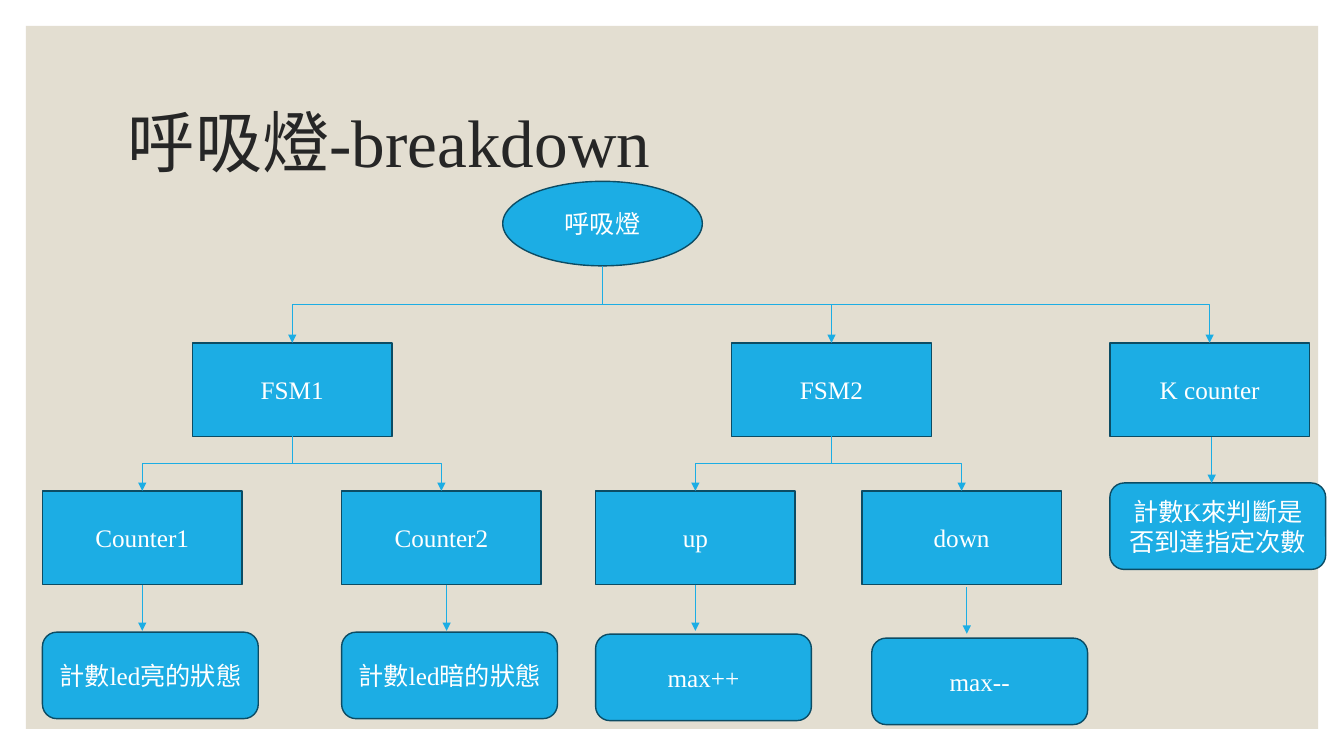
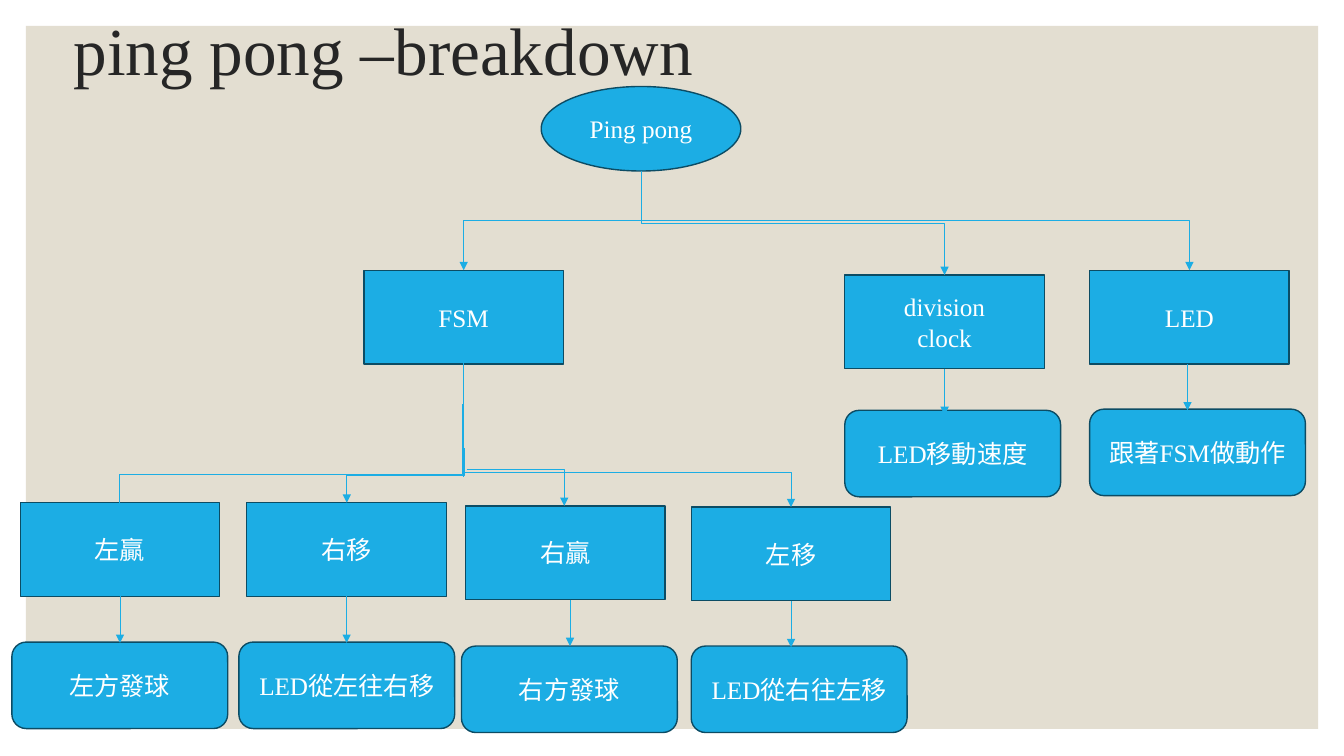
from dataclasses import dataclass
from typing import Optional

import pptx
import pptx.dml.color
import pptx.enum.shapes
import pptx.enum.text
import pptx.oxml
import pptx.oxml.ns
import pptx.util

Cm, Pt = pptx.util.Cm, pptx.util.Pt
SHAPE = pptx.enum.shapes.MSO_SHAPE
CONNECTOR = pptx.enum.shapes.MSO_CONNECTOR
ALIGN = pptx.enum.text.PP_ALIGN
qn = pptx.oxml.ns.qn


@dataclass(frozen=True)
class Theme:
    font: str = "Times New Roman"
    band: str = "E3DED1"
    title: str = "262626"
    fill: str = "1CADE4"
    outline: str = "0C4C64"
    label: str = "FFFFFF"
    title_size: float = 48
    label_size: float = 18
    outline_width: float = 1
    line_width: float = 0.5


@dataclass(frozen=True)
class Node:
    """A box in the tree; bend is where the line from its parent turns."""
    text: str
    left: float
    top: float
    parent: Optional[str] = None
    bend: float = 0.5
    kind: str = "box"


@dataclass(frozen=True)
class Note:
    """A rounded box below a node; dx and drop shift the arrow to it."""
    owner: str
    text: str
    left: float
    top: float
    dx: float = 0
    drop: float = 0


THEME = Theme()

# All lengths are centimetres.
SLIDE_SIZE = (33.87, 19.05)
BAND = (0.65, 0.65, 32.57, 17.72)
TITLE_SIZE = (27.94, 3.81)
ARROW = 1.17
KINDS = {  # preset, width, height
    "root": (SHAPE.OVAL, 5.03, 2.13),
    "box": (SHAPE.RECTANGLE, 5.03, 2.36),
    "note": (SHAPE.ROUNDED_RECTANGLE, 5.44, 2.18),
}

SLIDES = [
    {
        "title": ("呼吸燈-breakdown", 2.97, 1.78),
        "nodes": [
            Node("呼吸燈", 12.67, 4.57, kind="root"),
            Node("FSM1", 4.85, 8.64, "呼吸燈"),
            Node("FSM2", 18.44, 8.64, "呼吸燈"),
            Node("K counter", 27.97, 8.64, "呼吸燈"),
            Node("Counter1", 1.07, 12.37, "FSM1"),
            Node("Counter2", 8.61, 12.37, "FSM1"),
            Node("up", 15.01, 12.37, "FSM2"),
            Node("down", 21.72, 12.37, "FSM2"),
        ],
        "notes": [
            Note("Counter1", "計數led亮的狀態", 1.07, 15.93),
            Note("Counter2", "計數led暗的狀態", 8.61, 15.93, dx=0.13),
            Note("up", "max++", 15.01, 15.98),
            Note("down", "max--", 21.97, 16.08, dx=0.13, drop=0.07),
            Note("K counter", "計數K來判斷是否到達指定次數", 27.97, 12.17, dx=0.05),
        ],
        "trunks": [],
        "branches": [],
    },
    {
        "title": ("ping pong –breakdown", 1.6, -0.56),
        "nodes": [
            Node("Ping pong", 13.64, 2.18, kind="root"),
            Node("FSM", 9.17, 6.81, "Ping pong"),
            Node("division\nclock", 21.29, 6.93, "Ping pong"),
            Node("LED", 27.46, 6.81, "Ping pong"),
            Node("左贏", 0.51, 12.67),
            Node("右移", 6.22, 12.67),
            Node("右贏", 11.73, 12.75),
            Node("左移", 17.42, 12.78, "FSM", bend=0.76),
        ],
        "notes": [
            Note("左贏", "左方發球", 0.3, 16.18),
            Note("右移", "LED從左往右移", 6.02, 16.18),
            Note("右贏", "右方發球", 11.63, 16.28, dx=0.12),
            Note("左移", "LED從右往左移", 17.42, 16.28),
            Note("division\nclock", "LED移動速度", 21.29, 10.34),
            Note("LED", "跟著FSM做動作", 27.46, 10.31, dx=-0.05),
        ],
        "trunks": [(11.68, 9.14, 11.68, 12.01)],
        # Branches that leave the trunk part-way: x1, y1, x2, y2, bend
        "branches": [
            (11.71, 11.3, 8.74, 12.67, 0.5),
            (11.76, 11.84, 14.22, 12.75, 0),
            (11.66, 10.19, 3, 13.72, 0.5),
        ],
    },
]


def rgb(value):
    return pptx.dml.color.RGBColor.from_string(value)


def write(tf, text, *, size, color, align, spacing=None):
    tf.text = text
    tf.word_wrap = True
    tf.auto_size = pptx.enum.text.MSO_AUTO_SIZE.NONE
    tf.vertical_anchor = pptx.enum.text.MSO_ANCHOR.MIDDLE
    for p in tf.paragraphs:
        p.alignment = align
        p.line_spacing = spacing
        for r in p.runs:
            r.font.name = THEME.font
            r.font.size = Pt(size)
            r.font.color.rgb = rgb(color)


def add_block(slide, preset, box, fill, outline=None):
    sp = slide.shapes.add_shape(preset, *map(Cm, box))
    sp.shadow.inherit = False
    sp.fill.solid()
    sp.fill.fore_color.rgb = rgb(fill)
    if outline:
        sp.line.color.rgb = rgb(outline)
        sp.line.width = Pt(THEME.outline_width)
    else:
        sp.line.fill.background()
    return sp


def add_node(slide, kind, text, left, top):
    preset, width, height = KINDS[kind]
    sp = add_block(slide, preset, (left, top, width, height),
                   THEME.fill, THEME.outline)
    write(sp.text_frame, text, size=THEME.label_size, color=THEME.label,
          align=ALIGN.CENTER)


def add_line(slide, x1, y1, x2, y2, kind=CONNECTOR.STRAIGHT, arrow=True):
    cxn = slide.shapes.add_connector(kind, *map(Cm, (x1, y1, x2, y2)))
    cxn.line.color.rgb = rgb(THEME.fill)
    cxn.line.width = Pt(THEME.line_width)
    sppr = cxn.element.spPr
    if arrow:
        ln = sppr.find(qn("a:ln"))
        ln.append(pptx.oxml.parse_xml(
            f'<a:tailEnd {pptx.oxml.ns.nsdecls("a")} type="triangle"/>'))
    sppr.append(pptx.oxml.parse_xml(
        f'<a:effectLst {pptx.oxml.ns.nsdecls("a")}/>'))
    return cxn


def add_elbow(slide, x1, y1, x2, y2, bend):
    """Draw a down-across-down arrow: a turned elbow about the same centre."""
    run, fall = abs(x2 - x1), y2 - y1
    left, top = (x1 + x2 - fall) / 2, (y1 + y2 - run) / 2
    cxn = add_line(slide, left, top, left + fall, top + run, CONNECTOR.ELBOW)
    sppr = cxn.element.spPr
    xfrm = sppr.find(qn("a:xfrm"))
    xfrm.set("rot", str((90 if x2 < x1 else 270) * 60000))
    if x2 > x1:
        xfrm.set("flipH", "1")
    geom = sppr.find(qn("a:prstGeom"))
    geom.get_or_add_avLst().append(pptx.oxml.parse_xml(
        f'<a:gd {pptx.oxml.ns.nsdecls("a")} name="adj1" '
        f'fmla="val {round(bend * 100000)}"/>'))


def top_centre(node):
    return node.left + KINDS[node.kind][1] / 2, node.top


def bottom_centre(node):
    return node.left + KINDS[node.kind][1] / 2, node.top + KINDS[node.kind][2]


def add_band(slide, layout):
    """Put the background band on the layout, behind everything."""
    sp = add_block(slide, SHAPE.RECTANGLE, BAND, THEME.band)
    layout.shapes.element.insert(2, sp.element)


def build_slide(slide, content):
    text, left, top = content["title"]
    title = slide.shapes.title
    title.left, title.top = Cm(left), Cm(top)
    title.width, title.height = map(Cm, TITLE_SIZE)
    write(title.text_frame, text, size=THEME.title_size, color=THEME.title,
          align=ALIGN.LEFT, spacing=0.9)

    nodes = {node.text: node for node in content["nodes"]}
    for node in nodes.values():
        add_node(slide, node.kind, node.text, node.left, node.top)
        if node.parent:
            add_elbow(slide, *bottom_centre(nodes[node.parent]),
                      *top_centre(node), node.bend)
    for note in content["notes"]:
        add_node(slide, "note", note.text, note.left, note.top)
        x, y = bottom_centre(nodes[note.owner])
        x, y = x + note.dx, y + note.drop
        add_line(slide, x, y, x, y + ARROW)
    for trunk in content["trunks"]:
        add_line(slide, *trunk, arrow=False)
    for branch in content["branches"]:
        add_elbow(slide, *branch)


def main():
    prs = pptx.Presentation()
    prs.slide_width, prs.slide_height = map(Cm, SLIDE_SIZE)
    layout = prs.slide_layouts.get_by_name("Title Only")
    slides = [prs.slides.add_slide(layout) for _ in SLIDES]
    add_band(slides[0], layout)
    for slide, content in zip(slides, SLIDES):
        build_slide(slide, content)
    prs.save("out.pptx")


if __name__ == "__main__":
    main()
